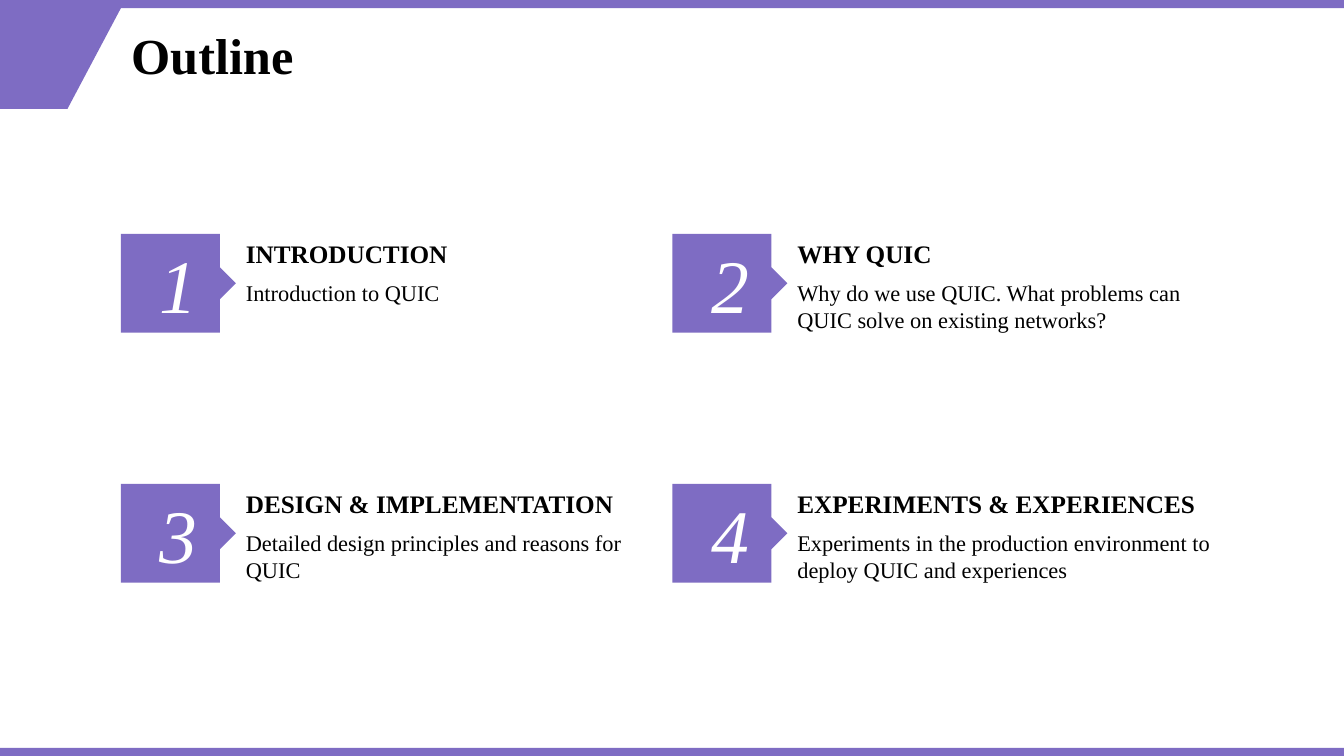
"""Build the outline slide with four numbered topics."""
from pptx import Presentation
from pptx.dml.color import RGBColor
from pptx.enum.shapes import MSO_SHAPE
from pptx.enum.text import MSO_ANCHOR, MSO_AUTO_SIZE, PP_ALIGN
from pptx.util import Inches, Pt

TITLE = "Outline"
TOPICS = [
    ("INTRODUCTION", "Introduction to QUIC"),
    ("WHY QUIC", "Why do we use QUIC. What problems can QUIC solve on existing networks?"),
    ("DESIGN & IMPLEMENTATION", "Detailed design principles and reasons for QUIC"),
    ("EXPERIMENTS & EXPERIENCES",
     "Experiments in the production environment to deploy QUIC and experiences"),
]

PURPLE = RGBColor(0x7E, 0x6C, 0xC3)
WHITE = RGBColor(0xFF, 0xFF, 0xFF)
BLACK = RGBColor(0, 0, 0)
FONT = "Times New Roman"

WIDTH, HEIGHT = 13.33, 7.5
BAR = 0.08
MARGIN = 1.2
COLUMNS = 2
COLUMN_STEP, ROW_STEP = 5.47, 2.48
FIRST_ROW = 2.32
SQUARE, POINT = 0.98, 0.16
HEADING_HEIGHT, DETAIL_WIDTH, DETAIL_HEIGHT = 0.4, 4.32, 0.64

CORNER = [(0, 0), (1.2, 0), (0.67, 1), (0, 1)]
MIDDLE = SQUARE / 2
BADGE = [
    (0, 0), (SQUARE, 0), (SQUARE, MIDDLE - POINT), (SQUARE + POINT, MIDDLE),
    (SQUARE, MIDDLE + POINT), (SQUARE, SQUARE), (0, SQUARE),
]


def paint(shape):
    shape.shadow.inherit = False
    shape.fill.solid()
    shape.fill.fore_color.rgb = PURPLE
    shape.line.fill.background()


def add_outline(slide, left, top, points):
    corners = [(Inches(left + x), Inches(top + y)) for x, y in points]
    builder = slide.shapes.build_freeform(*corners[0], scale=1.0)
    builder.add_line_segments(corners[1:], close=True)
    shape = builder.convert_to_shape()
    paint(shape)
    return shape


def add_bar(slide, top):
    shape = slide.shapes.add_shape(
        MSO_SHAPE.RECTANGLE, 0, Inches(top), Inches(WIDTH), Inches(BAR))
    paint(shape)


def write(shape, text, size, color=BLACK, bold=False, italic=False, align=PP_ALIGN.LEFT):
    paragraph = shape.text_frame.paragraphs[0]
    paragraph.alignment = align
    run = paragraph.add_run()
    run.text = text
    font = run.font
    font.name, font.size, font.bold, font.italic = FONT, Pt(size), bold, italic
    font.color.rgb = color
    return paragraph


def add_text(slide, box, text, size, bold=False, wrap=True):
    shape = slide.shapes.add_textbox(*map(Inches, box))
    shape.text_frame.word_wrap = wrap
    shape.text_frame.auto_size = MSO_AUTO_SIZE.SHAPE_TO_FIT_TEXT
    write(shape, text, size, bold=bold)


def add_topic(slide, index, heading, detail):
    row, column = divmod(index, COLUMNS)
    left, top = MARGIN + column * COLUMN_STEP, FIRST_ROW + row * ROW_STEP
    badge = add_outline(slide, left, top, BADGE)
    badge.text_frame.vertical_anchor = MSO_ANCHOR.MIDDLE
    write(badge, str(index + 1), 54, WHITE, italic=True, align=PP_ALIGN.CENTER)
    text_left = left + SQUARE + POINT
    add_text(slide, (text_left, top, DETAIL_WIDTH, HEADING_HEIGHT), heading, 18,
             bold=True, wrap=False)
    add_text(slide, (text_left, top + HEADING_HEIGHT, DETAIL_WIDTH, DETAIL_HEIGHT), detail, 16)


def add_title(slide):
    title = slide.shapes.title
    title.left, title.top = Inches(MARGIN), Inches(BAR)
    title.width, title.height = Inches(11.22), Inches(1)
    title.text_frame.vertical_anchor = MSO_ANCHOR.MIDDLE
    title.text_frame.auto_size = MSO_AUTO_SIZE.NONE
    write(title, TITLE, 36, bold=True).line_spacing = 0.9


def main():
    presentation = Presentation()
    presentation.slide_width, presentation.slide_height = Inches(WIDTH), Inches(HEIGHT)
    slide = presentation.slides.add_slide(presentation.slide_layouts[5])
    add_outline(slide, 0, BAR, CORNER)
    for top in (0, HEIGHT - BAR):
        add_bar(slide, top)
    add_title(slide)
    for index, (heading, detail) in enumerate(TOPICS):
        add_topic(slide, index, heading, detail)
    presentation.save("out.pptx")


if __name__ == "__main__":
    main()
